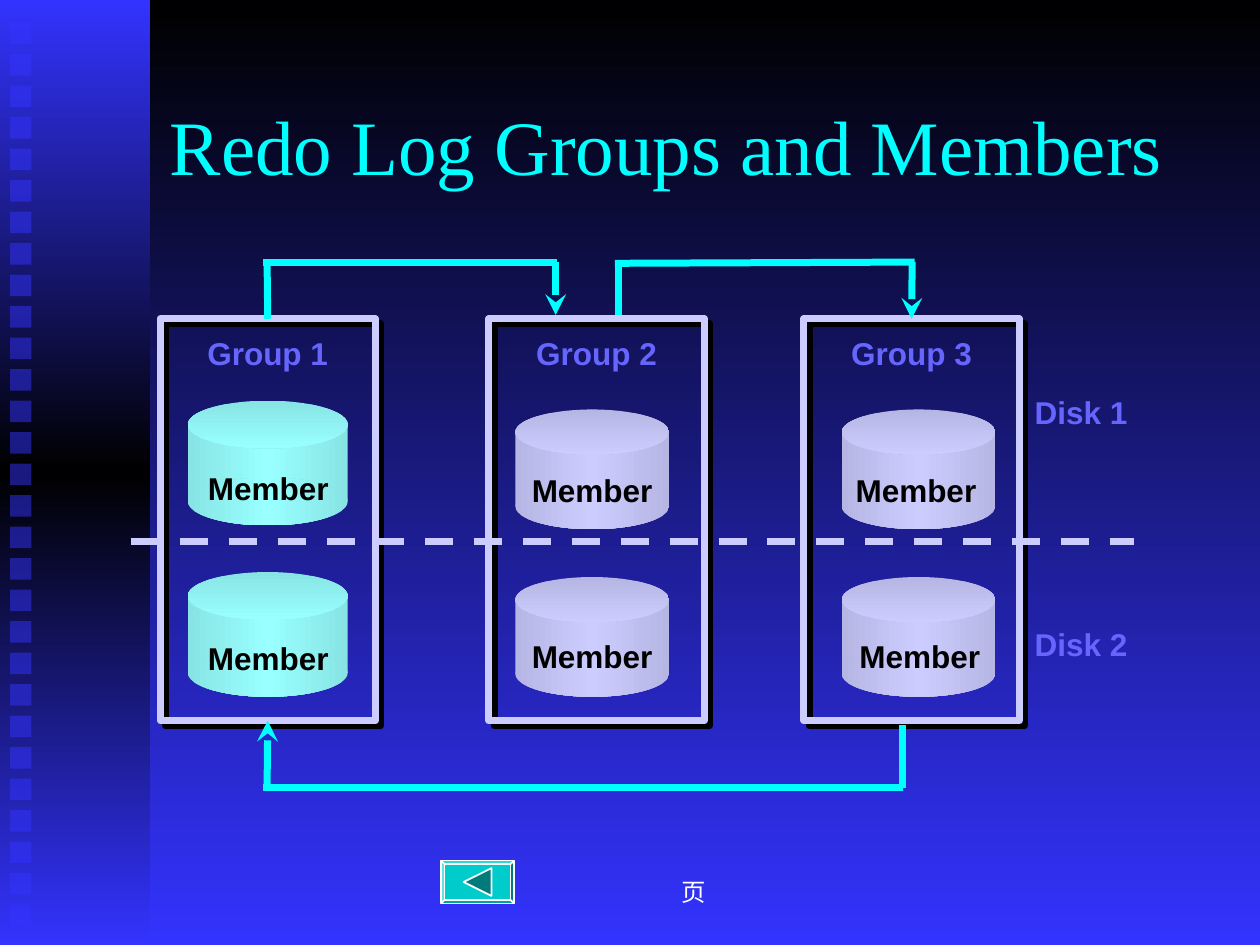
from lxml import etree
from pptx import Presentation
from pptx.dml.color import RGBColor
from pptx.enum.dml import MSO_LINE
from pptx.enum.shapes import MSO_CONNECTOR, MSO_SHAPE
from pptx.enum.text import MSO_ANCHOR, PP_ALIGN
from pptx.oxml.ns import qn
from pptx.util import Inches, Pt

RECT, OVAL, BEVEL = MSO_SHAPE.RECTANGLE, MSO_SHAPE.OVAL, MSO_SHAPE.BEVEL
STRAIGHT, DASH = MSO_CONNECTOR.STRAIGHT, MSO_LINE.DASH
CENTER, LEFT = PP_ALIGN.CENTER, PP_ALIGN.LEFT
MIDDLE, TOP = MSO_ANCHOR.MIDDLE, MSO_ANCHOR.TOP
TOP_SIDE, BOTTOM_SIDE = 0, 2

COLUMNS, ROWS = 100, 75
BLUE, LILAC, VIOLET, CYAN = "3333FF", "CCCCFF", "6666FF", "00FFFF"
BLACK, WHITE, TEAL, DARK_TEAL = "000000", "FFFFFF", "00CCCC", "007A7A"
LILAC_DISK = ("B6B6E4", LILAC)
AQUA_DISK = ("88E4E4", "99FFFF")


def rgb(value):
    return RGBColor.from_string(value)


def add_xml(parent, tag, **attributes):
    return etree.SubElement(parent, qn(tag), attributes)


def gradient(fill, element, colors, angle):
    """Spread the colours evenly; the angle runs counter-clockwise."""
    fill.gradient()
    fill.gradient_angle = angle
    stops = element.find(".//" + qn("a:gsLst"))
    for stop in list(stops):
        stops.remove(stop)
    for i, color in enumerate(colors):
        position = i * 100000 // (len(colors) - 1)
        stop = add_xml(stops, "a:gs", pos=str(position))
        add_xml(stop, "a:srgbClr", val=color)


def drop_shadow(effects, points):
    shadow = add_xml(effects, "a:outerShdw", dist=str(Pt(points)),
                     dir="2700000", algn="ctr", rotWithShape="0")
    add_xml(shadow, "a:srgbClr", val=BLACK)


class Board:
    """Draws on one slide, in columns and rows of its grid."""

    def __init__(self, prs):
        self.s = prs.slides.add_slide(prs.slide_layouts[6])
        self.column = prs.slide_width / COLUMNS
        self.row = prs.slide_height / ROWS
        self.line_width = Pt(4)

    def x(self, columns):
        return round(columns * self.column)

    def y(self, rows):
        return round(rows * self.row)

    def box(self, left, top, width, height):
        return self.x(left), self.y(top), self.x(width), self.y(height)

    def background(self, colors):
        gradient(self.s.background.fill, self.s.element, colors, 270)

    def shape(self, kind, area, fill=None, alpha=None, colors=None, angle=0, parent=None):
        shapes = parent.shapes if parent else self.s.shapes
        sp = shapes.add_shape(kind, *self.box(*area))
        sp.shadow.inherit = False
        sp.line.fill.background()
        if colors:
            gradient(sp.fill, sp.element, colors, angle)
        elif fill:
            sp.fill.solid()
            sp.fill.fore_color.rgb = rgb(fill)
            if alpha:
                color = sp.element.spPr.find(".//" + qn("a:srgbClr"))
                add_xml(color, "a:alpha", val=str(alpha * 1000))
        else:
            sp.fill.background()
        return sp

    def outline(self, sp, color, width):
        sp.line.color.rgb = rgb(color)
        sp.line.width = width

    def frame(self, area):
        sp = self.shape(RECT, area)
        self.outline(sp, LILAC, self.line_width)
        drop_shadow(sp.element.spPr.find(qn("a:effectLst")), 4.2)
        return sp

    def disk(self, left, top, width, height, lid, tones):
        edge, middle = tones
        barrel = (edge, middle, edge)
        group = self.s.shapes.add_group_shape()
        self.shape(RECT, (left, top + lid / 2, width, height - lid),
                   colors=barrel, parent=group)
        self.shape(OVAL, (left, top, width, lid),
                   colors=tones, angle=270, parent=group)
        self.shape(OVAL, (left, top + height - lid, width, lid),
                   colors=barrel, parent=group)

    def text(self, words, area, size=18, color=BLACK, font="Arial", bold=True,
             align=CENTER, anchor=TOP, wrap=False):
        tb = self.s.shapes.add_textbox(*self.box(*area))
        tf = tb.text_frame
        tf.text = words
        tf.word_wrap = wrap
        tf.vertical_anchor = anchor
        p = tf.paragraphs[0]
        p.alignment = align
        r = p.runs[0]
        r.font.name, r.font.size, r.font.bold = font, Pt(size), bold
        r.font.color.rgb = rgb(color)
        return r

    def title(self, words, area):
        r = self.text(words, area, 44, CYAN, "Times New Roman", False, LEFT, wrap=True)
        effects = etree.Element(qn("a:effectLst"))
        drop_shadow(effects, 3)
        r.font.fill  # the effect list follows the fill
        r.font._element.find(qn("a:solidFill")).addnext(effects)

    def line(self, start, end, color=CYAN, arrow=False, dash=None):
        c = self.s.shapes.add_connector(STRAIGHT, self.x(start[0]), self.y(start[1]),
                                        self.x(end[0]), self.y(end[1]))
        self.outline(c, color, self.line_width)
        if dash:
            c.line.dash_style = dash
        if arrow:
            add_xml(c.line._get_or_add_ln(), "a:tailEnd", type="stealth")
        add_xml(c.element.spPr, "a:effectLst")
        return c

    def back_button(self, left, top, width, height):
        button = self.shape(BEVEL, (left, top, width, height), TEAL)
        button.adjustments[0] = 0.08
        middle = top + height / 2
        builder = self.s.shapes.build_freeform(self.x(left + 1.8), self.y(middle))
        builder.add_line_segments([(self.x(left + 4), self.y(middle + dy))
                                   for dy in (-1.1, 1.1)])
        arrow = builder.convert_to_shape()
        arrow.shadow.inherit = False
        arrow.fill.solid()
        arrow.fill.fore_color.rgb = rgb(DARK_TEAL)
        for sp in (button, arrow):
            self.outline(sp, WHITE, Pt(1))


def main():
    prs = Presentation()
    prs.slide_width, prs.slide_height = Inches(10), Inches(7.5)
    board = Board(prs)

    board.background((BLACK, BLUE))
    board.shape(RECT, (0, 0, 11.9, ROWS), colors=(BLUE, BLACK, BLUE), angle=270)
    for i in range(29):
        board.shape(RECT, (0.8, 1.8 + 2.5 * i, 1.7, 1.7), BLUE, alpha=50)
    board.title("Redo Log Groups and Members", (12.5, 7.3, 85, 12.5))

    # frame left, disk left, disk width, disk height, lid, disk tops, label tops, label centres, tones
    groups = [
        (12.7, 14.9, 12.7, 9.9, 3.8, (31.8, 45.4), (36.7, 50.2), (21.3, 21.3), AQUA_DISK),
        (38.8, 40.9, 12.2, 9.5, 3.6, (32.5, 45.8), (36.9, 50.1), (47, 47), LILAC_DISK),
        (63.8, 66.8, 12.2, 9.5, 3.6, (32.5, 45.8), (36.9, 50.1), (72.7, 73), LILAC_DISK),
    ]
    frames = []
    for number, (left, disk_left, width, height, lid,
                 disk_tops, label_tops, centers, tones) in enumerate(groups, 1):
        frames.append(board.frame((left, 25.3, 17.1, 31.9)))
        board.text(f"Group {number}", (left - 0.3, 26, 17.7, 4), color=VIOLET)
        for disk_top, label_top, center in zip(disk_tops, label_tops, centers):
            board.disk(disk_left, disk_top, width, height, lid, tones)
            board.text("Member", (center - 5.8, label_top, 11.6, 4))

    first, _, third = frames
    board.line((21.2, 25), (21.2, 20.8)).begin_connect(first, TOP_SIDE)
    board.line((20.9, 20.8), (44.2, 20.8))
    board.line((44.1, 20.8), (44.1, 25), arrow=True)
    board.line((49.1, 25), (49.1, 20.8))
    board.line((48.8, 20.9), (72.6, 20.8))
    board.line((72.4, 20.8), (72.4, 25), arrow=True).end_connect(third, TOP_SIDE)
    board.line((71.6, 57.5), (71.6, 62.5))
    board.line((71.7, 62.5), (20.9, 62.5))
    board.line((21.2, 62.5), (21.2, 57.5), arrow=True).end_connect(first, BOTTOM_SIDE)
    board.line((10.4, 43), (90, 43), LILAC, dash=DASH)

    for words, top in (("Disk 1", 30.7), ("Disk 2", 49.1)):
        board.text(words, (81.1, top, 9.4, 4), color=VIOLET)
    board.back_button(35, 68.3, 5.8, 3.4)
    board.text("页", (39.2, 68.3, 31.7, 5), 14, WHITE, "Times New Roman", False,
               anchor=MIDDLE, wrap=True)

    prs.save("out.pptx")


if __name__ == "__main__":
    main()
